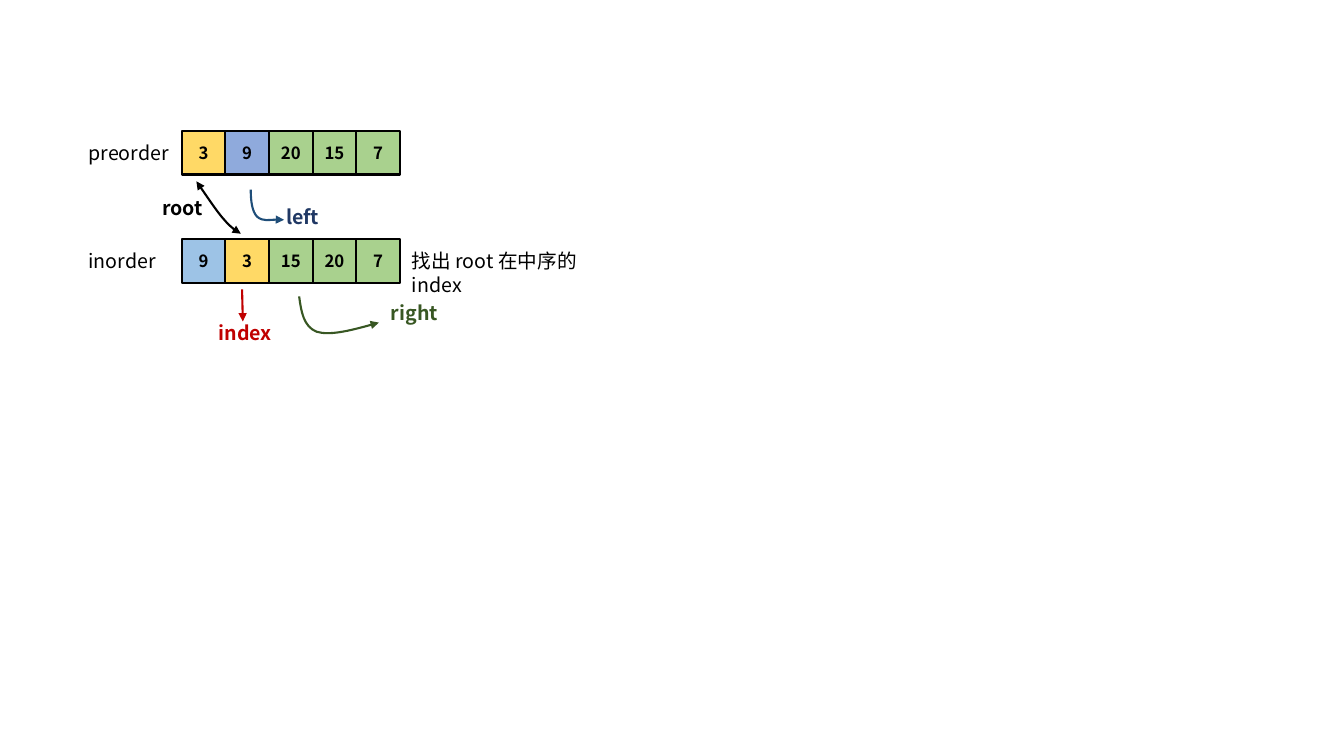
from lxml import etree
from pptx import Presentation, util as u
from pptx.dml.color import RGBColor
from pptx.enum import shapes, text
from pptx.oxml.ns import qn

FONT = "Noto Sans CJK SC"
BLACK, GOLD, GREEN = "000000", "FFD966", "A9D18E"
SIDE = 1.1  # cell side and pitch, in cm
LEFT = 4.58  # left edge of both arrays


def write(shape, words, size=14, color=BLACK, bold=False, align=None, wrap=False):
    """Put one formatted paragraph into a shape."""
    frame = shape.text_frame
    frame.word_wrap = wrap
    para = frame.paragraphs[0]
    para.alignment = align
    run = para.add_run()
    run.text = words
    run.font.size, run.font.bold, run.font.name = u.Pt(size), bold, FONT
    run.font.color.rgb = RGBColor.from_string(color)
    etree.SubElement(run.font._element, qn("a:ea"), typeface=FONT)


def stroke(shape, color, ends=()):
    """Draw a shape's line, with arrowheads at the named ends."""
    shape.line.color.rgb = RGBColor.from_string(color)
    shape.line.width = u.Pt(1.5)
    for end in ends:
        etree.SubElement(shape.line._get_or_add_ln(), qn(f"a:{end}"), type="triangle")


deck = Presentation()
deck.slide_width, deck.slide_height = u.Cm(33.87), u.Cm(19.05)
slide = deck.slides.add_slide(deck.slide_layouts[6])
pool = slide.shapes

# Arrays: top edge and (value, fill) of each cell
arrays = [
    (3.3, [(3, GOLD), (9, "8FAADC"), (20, GREEN), (15, GREEN), (7, GREEN)]),
    (6.03, [(9, "9DC3E6"), (3, GOLD), (15, GREEN), (20, GREEN), (7, GREEN)]),
]
for top, cells in arrays:
    for col, (value, fill) in enumerate(cells):
        cell = pool.add_shape(shapes.MSO_SHAPE.RECTANGLE, u.Cm(LEFT + col * SIDE),
                              u.Cm(top), u.Cm(SIDE), u.Cm(SIDE))
        cell.shadow.inherit = False
        cell.fill.solid()
        cell.fill.fore_color.rgb = RGBColor.from_string(fill)
        stroke(cell, BLACK)
        cell.text_frame.margin_left = cell.text_frame.margin_right = 0
        cell.text_frame.vertical_anchor = text.MSO_ANCHOR.MIDDLE
        write(cell, str(value), size=12, bold=True, align=text.PP_ALIGN.CENTER)

# Curved arrows: a start point, then three Bezier points per segment
curves = [
    (BLACK, ("headEnd", "tailEnd"),
     [(4.95, 4.57), (5.36, 5.16), (5.74, 5.74), (6.07, 5.89)]),
    ("1F4E79", ("tailEnd",),
     [(6.32, 4.78), (6.32, 5.05), (6.35, 5.33), (6.48, 5.46),
      (6.63, 5.59), (6.96, 5.51), (7.16, 5.54)]),
    ("385723", ("tailEnd",),
     [(7.54, 7.47), (7.59, 7.85), (7.65, 8.23), (7.98, 8.36),
      (8.31, 8.46), (8.92, 8.31), (9.55, 8.13)]),
]
for color, ends, points in curves:
    start, *rest = [(u.Cm(x), u.Cm(y)) for x, y in points]
    pen = pool.build_freeform(*start)
    pen.add_line_segments(rest, close=False)
    curve = pen.convert_to_shape()
    curve.shadow.inherit = False
    curve.fill.background()
    stroke(curve, color, ends)
    steps = list(curve.element.iter(qn("a:lnTo")))
    for first in range(0, len(steps), 3):
        bend = etree.Element(qn("a:cubicBezTo"))
        steps[first].addprevious(bend)
        for step in steps[first:first + 3]:
            bend.append(step[0])
            step.getparent().remove(step)

# Straight arrow down to the index
arrow = pool.add_connector(shapes.MSO_CONNECTOR.STRAIGHT,
                           u.Cm(6.1), u.Cm(7.29), u.Cm(6.12), u.Cm(8.1))
stroke(arrow, "C00000", ("tailEnd",))
etree.SubElement(arrow.element.spPr, qn("a:effectLst"))

# Labels: words, left, top, width, colour, bold
labels = [
    ("root", 3.84, 4.8, 1.57, BLACK, True),
    ("left", 6.96, 5.05, 1.37, "203864", True),
    ("right", 9.6, 7.47, 1.73, "385723", True),
    ("index", 5.26, 7.95, 1.9, "C00000", True),
    ("preorder", 1.98, 3.43, 2.6, BLACK, False),
    ("inorder", 1.98, 6.15, 2.26, BLACK, False),
    ("找出 root 在中序的 index", 10.13, 6.15, 5.4, BLACK, False),
]
for words, left, top, width, color, bold in labels:
    box = pool.add_textbox(u.Cm(left), u.Cm(top), u.Cm(width), u.Cm(0.86))
    write(box, words, color=color, bold=bold, wrap=width > 5)

deck.save("out.pptx")
